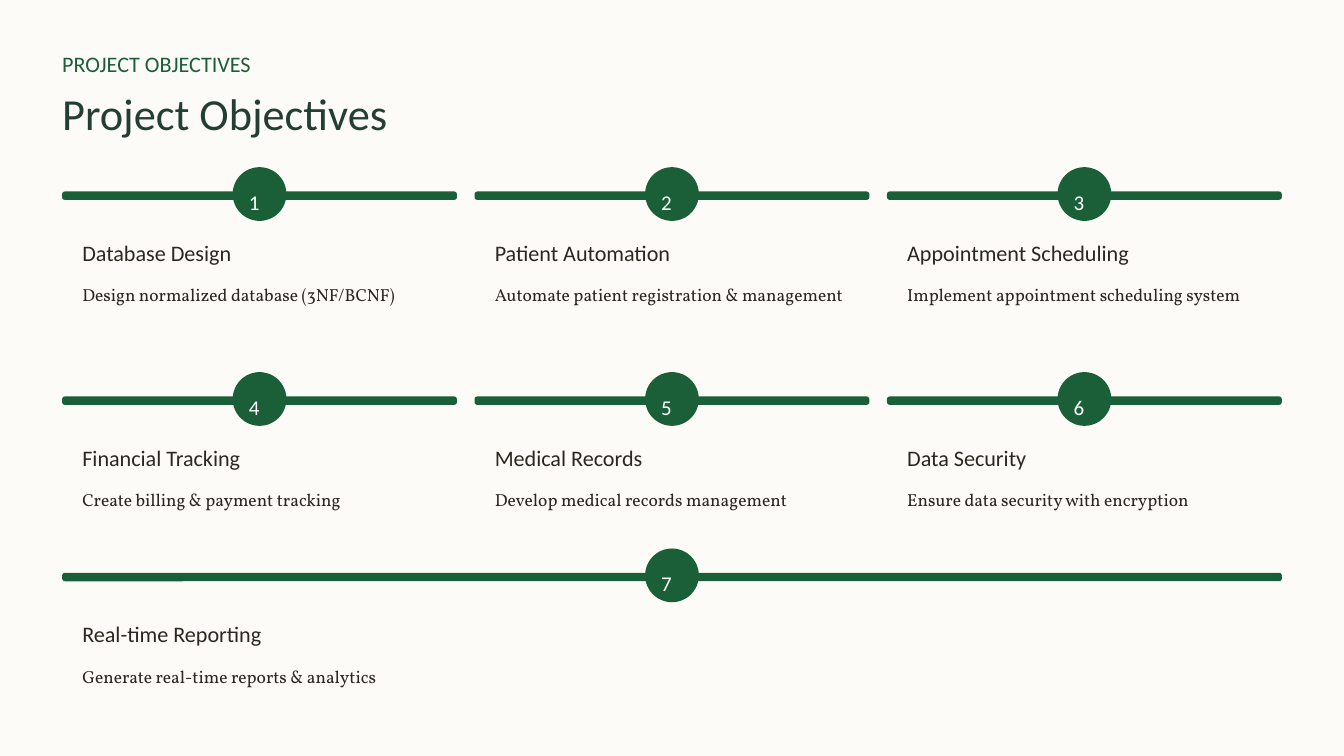
from pptx import Presentation
from pptx.dml.color import RGBColor
from pptx.enum.shapes import MSO_SHAPE
from pptx.enum.text import MSO_ANCHOR, PP_ALIGN
from pptx.util import Inches, Pt

EYEBROW = "PROJECT OBJECTIVES"
TITLE = "Project Objectives"
# Each row: top of its bar, then the objectives that share its width
ROWS = [
    (2.28, [
        ("Database Design", "Design normalized database (3NF/BCNF)"),
        ("Patient Automation", "Automate patient registration & management"),
        ("Appointment Scheduling", "Implement appointment scheduling system"),
    ]),
    (4.72, [
        ("Financial Tracking", "Create billing & payment tracking"),
        ("Medical Records", "Develop medical records management"),
        ("Data Security", "Ensure data security with encryption"),
    ]),
    (6.82, [
        ("Real-time Reporting", "Generate real-time reports & analytics"),
    ]),
]

CREAM = RGBColor(0xFC, 0xFB, 0xF8)
GREEN = RGBColor(0x1B, 0x5F, 0x39)
DARK_GREEN = RGBColor(0x23, 0x3E, 0x32)
INK = RGBColor(0x2C, 0x28, 0x21)
WHITE = RGBColor(0xFF, 0xFF, 0xFF)
SANS, SERIF = "Calibri", "Vollkorn"

LEFT, CONTENT_WIDTH, GAP = 0.74, 14.52, 0.21
PADDING = 0.24
BAR_HEIGHT, BADGE = 0.1, 0.64


def write(shape, text, size, color, line_spacing, font=SANS, insets=(0, 0)):
    """Fill a shape with one left-aligned line; insets are left and top."""
    frame = shape.text_frame
    frame.text = text
    frame.word_wrap = True
    frame.vertical_anchor = MSO_ANCHOR.TOP
    frame.margin_left, frame.margin_top = map(Inches, insets)
    frame.margin_right = frame.margin_bottom = 0
    paragraph = frame.paragraphs[0]
    paragraph.alignment = PP_ALIGN.LEFT
    paragraph.line_spacing = Pt(line_spacing)
    run_font = paragraph.runs[0].font
    run_font.name, run_font.size = font, Pt(size)
    run_font.color.rgb = color


def add_label(slide, left, top, width, height, *style, **options):
    box = slide.shapes.add_textbox(*map(Inches, (left, top, width, height)))
    write(box, *style, **options)


def add_green(slide, kind, left, top, width, height):
    shape = slide.shapes.add_shape(kind, *map(Inches, (left, top, width, height)))
    shape.shadow.inherit = False
    shape.fill.solid()
    shape.fill.fore_color.rgb = GREEN
    shape.line.fill.background()
    return shape


def add_objective(slide, number, left, top, width, heading, detail):
    bar = add_green(slide, MSO_SHAPE.ROUNDED_RECTANGLE, left, top, width, BAR_HEIGHT)
    bar.adjustments[0] = 0.32
    badge = add_green(slide, MSO_SHAPE.OVAL, left + (width - BADGE) / 2,
                      top - 0.29, BADGE, BADGE)
    write(badge, str(number), 18, WHITE, 29, insets=(0.1, 0.07))
    text_left, text_width = left + PADDING, width - 2 * PADDING
    add_label(slide, text_left, top + 0.56, text_width, 0.33, heading, 19, INK, 23.5)
    add_label(slide, text_left, top + 1.02, text_width, 0.34, detail, 15, INK, 24,
              font=SERIF)


def main():
    presentation = Presentation()
    presentation.slide_width, presentation.slide_height = Inches(16), Inches(9)
    slide = presentation.slides.add_slide(presentation.slide_layouts[5])
    slide.background.fill.solid()
    slide.background.fill.fore_color.rgb = CREAM

    add_label(slide, LEFT, 0.59, 2.66, 0.33, EYEBROW, 19, GREEN, 23.5)
    title = slide.shapes.title
    title.left, title.top, title.width, title.height = map(
        Inches, (LEFT, 1, 5.32, 0.66))
    write(title, TITLE, 38, DARK_GREEN, 47.5)

    number = 0
    for top, objectives in ROWS:
        count = len(objectives)
        width = (CONTENT_WIDTH - GAP * (count - 1)) / count
        for column, (heading, detail) in enumerate(objectives):
            number += 1
            left = LEFT + column * (width + GAP)
            add_objective(slide, number, left, top, width, heading, detail)

    presentation.save("out.pptx")


if __name__ == "__main__":
    main()
